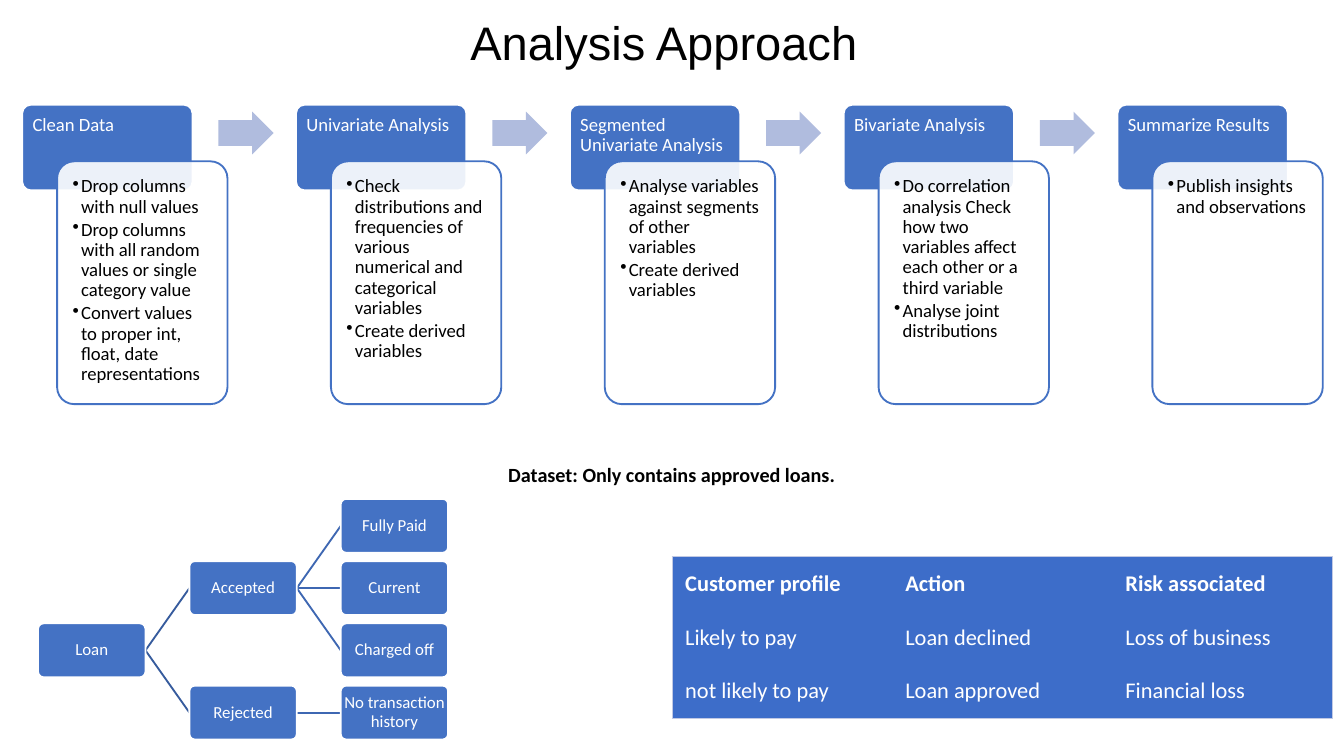
from dataclasses import dataclass

import lxml.etree
import pptx
import pptx.dml.color
import pptx.enum.shapes
import pptx.enum.text
import pptx.oxml.ns
import pptx.util

Cm = pptx.util.Cm
Pt = pptx.util.Pt
qn = pptx.oxml.ns.qn
SHAPE = pptx.enum.shapes.MSO_SHAPE
ALIGN = pptx.enum.text.PP_ALIGN
ANCHOR = pptx.enum.text.MSO_ANCHOR


@dataclass(frozen=True)
class Theme:
    blue: str = "4472C4"
    arrow: str = "B0BCDE"
    white: str = "FFFFFF"
    black: str = "000000"
    branches: tuple = ("365B9D", "3E67B2")
    table: str = "3D6DC9"
    table_border: str = "C1C9E4"
    heading_font: str = "Arial"
    body_font: str = "Calibri"
    heading: float = 25.2
    subtitle: float = 10.8
    step: float = 10
    node: float = 9
    cell: float = 12


T = Theme()

STEPS = [
    ("Clean Data", ["Drop columns with null values",
                    "Drop columns with all random values or single category value",
                    "Convert values to proper int, float, date representations"]),
    ("Univariate Analysis", ["Check distributions and frequencies of various numerical "
                             "and categorical variables",
                             "Create derived variables"]),
    ("Segmented Univariate Analysis", ["Analyse variables against segments of other variables",
                                       "Create derived variables"]),
    ("Bivariate Analysis", ["Do correlation analysis Check how two variables affect "
                            "each other or a third variable",
                            "Analyse joint distributions"]),
    ("Summarize Results", ["Publish insights and observations"]),
]

# Each node: text, level, row, index of its parent
LOAN_NODES = [
    ("Loan", 0, 2, None),
    ("Accepted", 1, 1, 0),
    ("Rejected", 1, 3, 0),
    ("Fully Paid", 2, 0, 1),
    ("Current", 2, 1, 1),
    ("Charged off", 2, 2, 1),
    ("No transaction history", 2, 3, 2),
]

RISKS = [
    ("Customer profile", "Action", "Risk associated"),
    ("Likely to pay", "Loan declined", "Loss of business"),
    ("not likely to pay", "Loan approved", "Financial loss"),
]


def rgb(color):
    return pptx.dml.color.RGBColor.from_string(color)


def write(tf, lines, size, color, align=ALIGN.LEFT, font=T.body_font, bold=False,
          spacing=0.9, after=0, inset=0.25, bullet=False):
    """Fill a text frame with one paragraph per line; inset is in centimetres."""
    tf.word_wrap = True
    tf.margin_left = tf.margin_right = tf.margin_top = tf.margin_bottom = Cm(inset)
    tf.text = "\n".join(lines)
    for p in tf.paragraphs:
        p.alignment, p.line_spacing, p.space_after = align, spacing, Pt(after)
        if bullet:
            pPr = p._p.get_or_add_pPr()
            pPr.set("marL", str(Cm(0.16)))
            pPr.set("indent", str(-Cm(0.16)))
            lxml.etree.SubElement(pPr, qn("a:buChar"), char="•")
        for r in p.runs:
            r.font.name, r.font.size, r.font.bold = font, Pt(size), bold
            r.font.color.rgb = rgb(color)


def add_block(s, kind, left, top, width, height, fill, line=None, adjustments=(0.1,)):
    sp = s.shapes.add_shape(kind, left, top, width, height)
    sp.shadow.inherit = False
    for i, value in enumerate(adjustments):
        sp.adjustments[i] = value
    sp.fill.solid()
    sp.fill.fore_color.rgb = rgb(fill)
    if line:
        sp.line.color.rgb = rgb(line)
        sp.line.width = Pt(1)
    else:
        sp.line.fill.background()
    return sp


def add_label(s, left, top, width, height, text, size, **style):
    sp = s.shapes.add_textbox(left, top, width, height)
    write(sp.text_frame, [text], size, T.black, **style)


def add_step(s, left, top, width, height, title, points):
    """A titled tab with a translucent panel of points overlapping its lower right."""
    dx, dy = Cm(0.66), Cm(1.07)
    tab = add_block(s, SHAPE.ROUNDED_RECTANGLE, left, top, width - dx, Cm(1.62), T.blue, T.white)
    tab.text_frame.vertical_anchor = ANCHOR.TOP
    write(tab.text_frame, [title], T.step, T.white, inset=0.15)

    panel = add_block(s, SHAPE.ROUNDED_RECTANGLE, left + dx, top + dy, width - dx, height - dy,
                      T.white, T.blue)
    color = panel._element.spPr.find(qn("a:solidFill")).find(qn("a:srgbClr"))
    lxml.etree.SubElement(color, qn("a:alpha"), val="90000")
    panel.text_frame.vertical_anchor = ANCHOR.TOP
    write(panel.text_frame, points, T.step, T.black, after=1.5, inset=0.2, bullet=True)


def add_process(s, left, top, width, height, steps):
    step_w = Cm(3.88)
    pitch = (width - step_w) // (len(steps) - 1)
    for i, (title, points) in enumerate(steps):
        x = left + i * pitch
        add_step(s, x, top, step_w, height, title, points)
        if i < len(steps) - 1:
            add_block(s, SHAPE.RIGHT_ARROW, x + Cm(3.71), top + Cm(0.13), Cm(1.04), Cm(0.81),
                      T.arrow, adjustments=(0.6, 0.5))


def add_tree(s, left, top, width, height, nodes):
    """A tree growing rightwards, on an even grid of levels and rows."""
    node_w, node_h = Cm(2.03), Cm(1.02)
    level_pitch = (width - node_w) // max(level for _, level, _, _ in nodes)
    row_pitch = (height - node_h) // max(row for _, _, row, _ in nodes)
    corners = [(left + level * level_pitch, top + row * row_pitch) for _, level, row, _ in nodes]

    for (_, level, _, parent), (x, y) in zip(nodes, corners):
        if parent is None:
            continue
        px, py = corners[parent]
        branch = s.shapes.add_connector(pptx.enum.shapes.MSO_CONNECTOR.STRAIGHT,
                                        px + node_w, py + node_h // 2, x, y + node_h // 2)
        branch.line.color.rgb = rgb(T.branches[level - 1])
        branch.line.width = Pt(1)
        lxml.etree.SubElement(branch._element.spPr, qn("a:effectLst"))

    for (text, *_), (x, y) in zip(nodes, corners):
        sp = add_block(s, SHAPE.ROUNDED_RECTANGLE, x, y, node_w, node_h, T.blue, T.white)
        sp.text_frame.vertical_anchor = ANCHOR.MIDDLE
        write(sp.text_frame, [text], T.node, T.white, ALIGN.CENTER, inset=0.03)


def set_border(cell, side, visible):
    ln = lxml.etree.SubElement(cell._tc.get_or_add_tcPr(), qn("a:ln" + side), w=str(Pt(0.5)))
    if visible:
        fill = lxml.etree.SubElement(ln, qn("a:solidFill"))
        lxml.etree.SubElement(fill, qn("a:srgbClr"), val=T.table_border)
    else:
        lxml.etree.SubElement(ln, qn("a:noFill"))


def add_risk_table(s, left, top, width, height, rows):
    n_rows, n_cols = len(rows), len(rows[0])
    table = s.shapes.add_table(n_rows, n_cols, left, top, width, height).table
    table.first_row = table.horz_banding = False
    for i, row in enumerate(rows):
        for j, text in enumerate(row):
            cell = table.cell(i, j)
            outer = {"L": j == 0, "R": j == n_cols - 1, "T": i == 0, "B": i == n_rows - 1}
            for side, visible in outer.items():
                set_border(cell, side, visible)
            cell.fill.solid()
            cell.fill.fore_color.rgb = rgb(T.table)
            cell.margin_left = cell.margin_right = Cm(0.25)
            cell.margin_top = cell.margin_bottom = Cm(0.25)
            write(cell.text_frame, [text], T.cell, T.white, bold=i == 0, spacing=1.0)


def main():
    prs = pptx.Presentation()
    prs.slide_width, prs.slide_height = Cm(25.4), Cm(14.29)
    s = prs.slides.add_slide(prs.slide_layouts[6])
    add_label(s, Cm(8.64), Cm(0), Cm(8.15), Cm(1.6), "Analysis Approach", T.heading,
              font=T.heading_font, spacing=1.0)
    add_process(s, Cm(0.42), Cm(1.98), Cm(24.58), Cm(5.66), STEPS)
    add_label(s, Cm(0.86), Cm(8.59), Cm(23.67), Cm(0.74),
              "Dataset: Only contains approved loans.", T.subtitle,
              align=ALIGN.CENTER, bold=True)
    add_tree(s, Cm(0.72), Cm(9.43), Cm(7.75), Cm(4.55), LOAN_NODES)
    add_risk_table(s, Cm(12.7), Cm(10.52), Cm(12.48), Cm(3.06), RISKS)
    prs.save("out.pptx")


if __name__ == "__main__":
    main()
